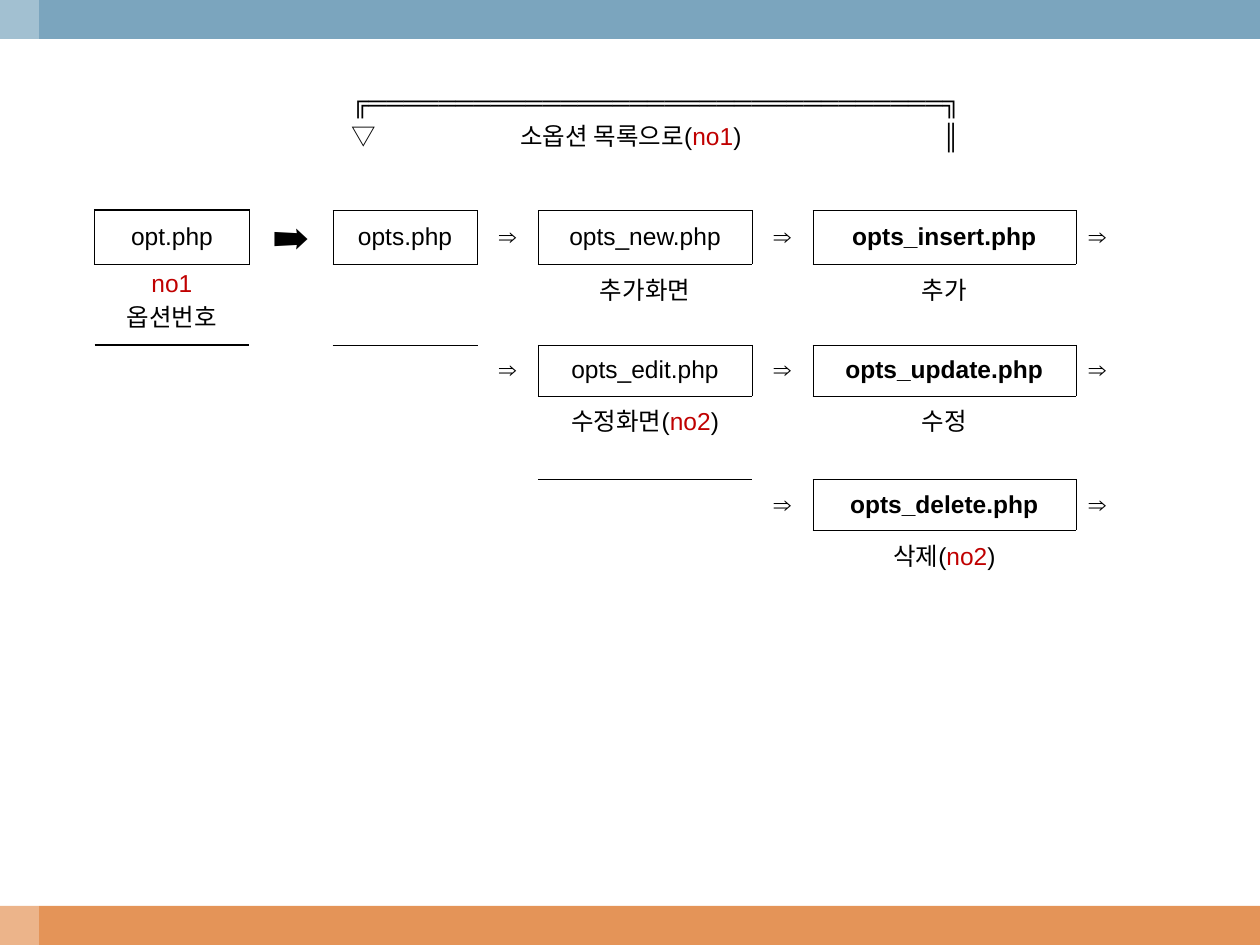
from lxml import etree
from pptx import Presentation
from pptx.dml.color import RGBColor
from pptx.enum.shapes import MSO_SHAPE as Shape
from pptx.enum.text import MSO_ANCHOR as Anchor, PP_ALIGN as Align
from pptx.oxml.ns import qn
from pptx.util import Inches, Pt

BLACK = RGBColor(0x00, 0x00, 0x00)
WHITE = RGBColor(0xFF, 0xFF, 0xFF)
RED = RGBColor(0xC0, 0x00, 0x00)
BLUE = RGBColor(0x7B, 0xA5, 0xBE)
ORANGE = RGBColor(0xE4, 0x94, 0x58)

FONT = "Arial"
PLAIN = "{2D5ABB26-0587-4C30-8999-92F81FD0307C}"
BAND = 0.31
COLS = [1.23, 0.66, 1.15, 0.48, 1.7, 0.48, 2.09, 0.57]
ROWS = [0.57, 0.17, 0.43, 0.64, 0.33, 0.66, 0.33, 0.39]
STOPS = [1.94, 3.28, 6.63]
THIN, THICK = 0.11, 0.85
MARKS = {"no1", "no2"}

LOOP = [
    ["\t╔" + "═" * 33 + "╗"],
    ["\t▽\t소옵션 목록으로(", "no1", ")\t║"],
]
BOXES = {
    (2, 0): "opt.php",
    (2, 2): "opts.php",
    (2, 4): "opts_new.php",
    (2, 6): "opts_insert.php",
    (4, 4): "opts_edit.php",
    (4, 6): "opts_update.php",
    (6, 6): "opts_delete.php",
}
NOTES = {
    (3, 0): [["no1"], ["옵션번호"]],
    (3, 4): [["추가화면"]],
    (3, 6): [["추가"]],
    (5, 4): [["수정화면(", "no2", ")"]],
    (5, 6): [["수정"]],
    (7, 6): [["삭제(", "no2", ")"]],
}
ARROWS = [(2, 3), (2, 5), (2, 7), (4, 3), (4, 5), (4, 7), (6, 5), (6, 7)]
SIDES = {
    "lnL": (0, -1, "lnR"),
    "lnR": (0, 1, "lnL"),
    "lnT": (-1, 0, "lnB"),
    "lnB": (1, 0, "lnT"),
}


def add_bar(slide, left, top, width, height, color):
    bar = slide.shapes.add_shape(
        Shape.RECTANGLE, Inches(left), Inches(top), Inches(width), Inches(height))
    bar.shadow.inherit = False
    bar.fill.solid()
    bar.fill.fore_color.rgb = color
    bar.line.fill.background()
    return bar


def write(cell, lines, align=Align.CENTER, size=14, bold=False, stops=()):
    frame = cell.text_frame
    for i, parts in enumerate(lines):
        para = frame.paragraphs[0] if i == 0 else frame.add_paragraph()
        para.alignment = align
        if stops:
            tabs = etree.SubElement(para._p.get_or_add_pPr(), qn("a:tabLst"))
            for stop in stops:
                etree.SubElement(tabs, qn("a:tab"), pos=str(Inches(stop)), algn="l")
        for part in parts:
            run = para.add_run()
            run.text = part
            run.font.name = FONT
            run.font.size = Pt(size)
            run.font.bold = bold
            run.font.color.rgb = RED if part in MARKS else BLACK


def draw_edges(table):
    edges = {}
    for row, col in BOXES:
        width = THICK if col == 0 else THIN
        for side, (down, right, back) in SIDES.items():
            edges[row, col, side] = width
            if col + right >= 0:
                edges[row + down, col + right, back] = width
    for row in range(len(ROWS)):
        for col in range(len(COLS)):
            for side in SIDES:
                if (row, col, side) in edges:
                    props = table.cell(row, col)._tc.get_or_add_tcPr()
                    width = str(Pt(edges[row, col, side]))
                    line = etree.SubElement(props, qn("a:" + side), w=width)
                    fill = etree.SubElement(line, qn("a:solidFill"))
                    etree.SubElement(fill, qn("a:srgbClr"), val=str(BLACK))


def add_flow(slide):
    frame = slide.shapes.add_table(
        len(ROWS), len(COLS), Inches(0.75), Inches(0.66),
        Inches(sum(COLS)), Inches(sum(ROWS)))
    table = frame.table
    table.first_row = table.horz_banding = False
    table._tbl.tblPr.find(qn("a:tableStyleId")).text = PLAIN
    for col, width in zip(table.columns, COLS):
        col.width = Inches(width)
    for row, height in zip(table.rows, ROWS):
        row.height = Inches(height)

    draw_edges(table)
    top = table.cell(0, 0)
    top.merge(table.cell(0, len(COLS) - 1))
    top.vertical_anchor = Anchor.MIDDLE
    write(top, LOOP, Align.JUSTIFY, stops=STOPS)

    for (row, col), name in BOXES.items():
        cell = table.cell(row, col)
        cell.vertical_anchor = Anchor.MIDDLE
        cell.fill.solid()
        cell.fill.fore_color.rgb = WHITE
        write(cell, [[name]], bold=col == 6)
    for spot, lines in NOTES.items():
        write(table.cell(*spot), lines)
    for row, col in ARROWS:
        cell = table.cell(row, col)
        cell.vertical_anchor = Anchor.MIDDLE
        write(cell, [["⇒"]], Align.JUSTIFY if col == 7 else Align.CENTER)
    start = table.cell(2, 1)
    start.vertical_anchor = Anchor.MIDDLE
    write(start, [["➡"]], size=20)


def main():
    deck = Presentation()
    deck.slide_width, deck.slide_height = Inches(10), Inches(7.5)
    slide = deck.slides.add_slide(deck.slide_layouts[6])
    add_bar(slide, 0, 7.5 - BAND, 10, BAND, ORANGE)
    add_bar(slide, 0, 0, 10, BAND, BLUE)
    strip = add_bar(slide, 0, 0, BAND, 7.5, WHITE)
    tint = strip._element.spPr.find(qn("a:solidFill"))[0]
    etree.SubElement(tint, qn("a:alpha"), val="30000")
    add_flow(slide)
    deck.save("out.pptx")


if __name__ == "__main__":
    main()
